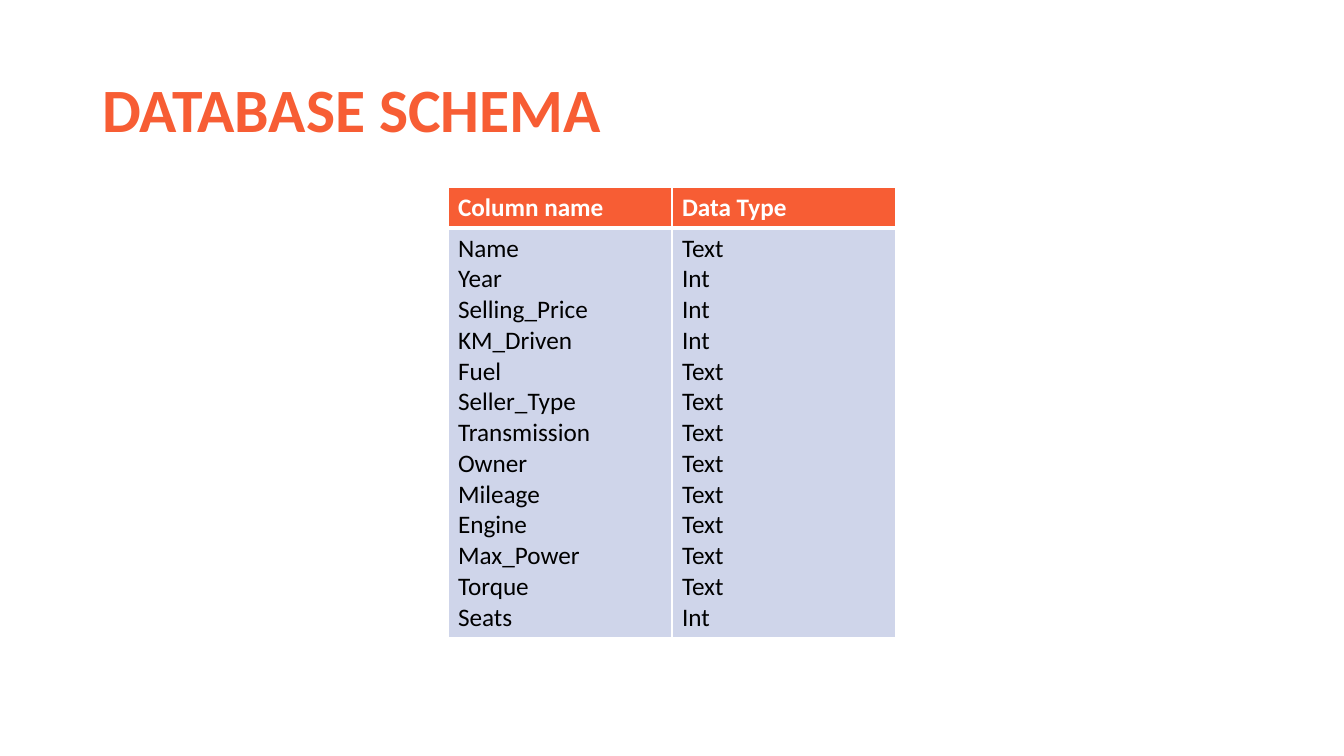
from lxml.etree import SubElement
from pptx import Presentation
from pptx.dml.color import RGBColor
from pptx.enum.text import MSO_ANCHOR as Anchor, PP_ALIGN as Align
from pptx.oxml.ns import qn
from pptx.util import Pt

PX = 914400 / 100.8
FONT = "Calibri"
ORANGE = RGBColor(0xF7, 0x5D, 0x34)
LAVENDER = RGBColor(0xCF, 0xD5, 0xEA)
WHITE = RGBColor(0xFF, 0xFF, 0xFF)
BLACK = RGBColor(0x00, 0x00, 0x00)

PAGE_SIZE = (1344, 756)
TITLE_BOX = (92, 40, 1159, 146)
TABLE_BOX = (448, 187, 448, 450)
HEADER_HEIGHT = 41

SCHEMA = [
    ("Name", "Text"),
    ("Year", "Int"),
    ("Selling_Price", "Int"),
    ("KM_Driven", "Int"),
    ("Fuel", "Text"),
    ("Seller_Type", "Text"),
    ("Transmission", "Text"),
    ("Owner", "Text"),
    ("Mileage", "Text"),
    ("Engine", "Text"),
    ("Max_Power", "Text"),
    ("Torque", "Text"),
    ("Seats", "Int"),
]


def px(length):
    """Turn pixels into EMU."""
    return round(length * PX)


def style_text(frame, size, color, bold):
    """Format every run of a text frame."""
    for para in frame.paragraphs:
        for span in para.runs:
            font = span.font
            font.name, font.size, font.bold = FONT, Pt(size), bold
            font.color.rgb = color


def add_borders(cell, bottom_width):
    """Give a cell white edges, with its own width for the bottom one."""
    properties = cell._tc.get_or_add_tcPr()
    for side, width in (("L", 1), ("R", 1), ("T", 1), ("B", bottom_width)):
        line = SubElement(properties, qn(f"a:ln{side}"), w=str(Pt(width)))
        fill = SubElement(line, qn("a:solidFill"))
        SubElement(fill, qn("a:srgbClr"), val=str(WHITE))


def place_title(page, box, text):
    """Move the title placeholder into the box and fill it."""
    title = page.shapes.title
    title.left, title.top, title.width, title.height = map(px, box)
    frame = title.text_frame
    frame.text = text
    frame.vertical_anchor = Anchor.MIDDLE
    para = frame.paragraphs[0]
    para.alignment = Align.LEFT
    para.line_spacing = 0.9
    style_text(frame, 44, ORANGE, True)


def place_schema(page, box, header, fields):
    """Draw a header row above one row that lists all the fields."""
    table = page.shapes.add_table(2, len(header), *map(px, box)).table
    table.rows[0].height = px(HEADER_HEIGHT)
    table.rows[1].height = px(box[3] - HEADER_HEIGHT)
    bodies = ["\n".join(column) for column in zip(*fields)]
    row_styles = [
        (header, ORANGE, WHITE, True, 3),
        (bodies, LAVENDER, BLACK, False, 1),
    ]
    for row, (texts, fill, color, bold, bottom_width) in zip(table.rows, row_styles):
        for cell, text in zip(row.cells, texts):
            cell.text_frame.text = text
            style_text(cell.text_frame, 18, color, bold)
            add_borders(cell, bottom_width)
            cell.fill.solid()
            cell.fill.fore_color.rgb = fill


def main():
    """Build the deck and save it."""
    deck = Presentation()
    deck.slide_width, deck.slide_height = map(px, PAGE_SIZE)
    page = deck.slides.add_slide(deck.slide_layouts[5])
    place_title(page, TITLE_BOX, "DATABASE SCHEMA")
    place_schema(page, TABLE_BOX, ("Column name", "Data Type"), SCHEMA)
    deck.save("out.pptx")


if __name__ == "__main__":
    main()
